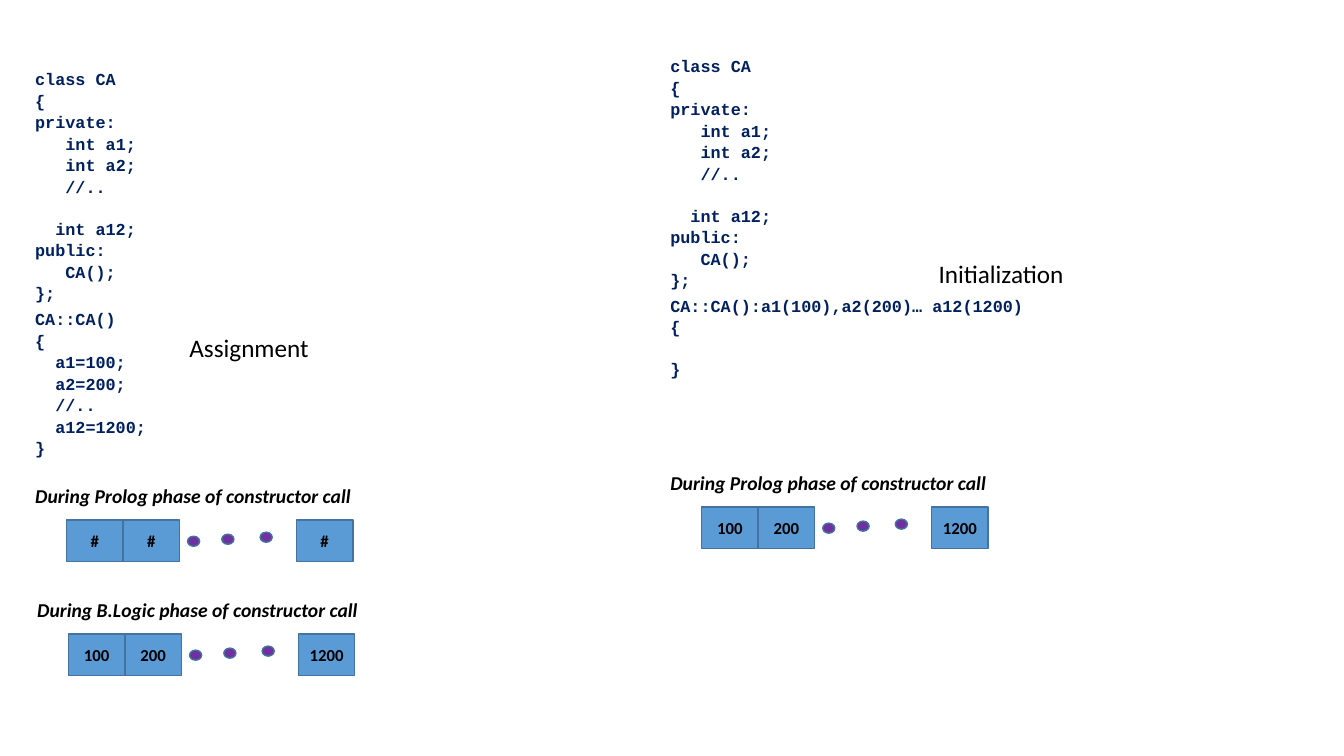
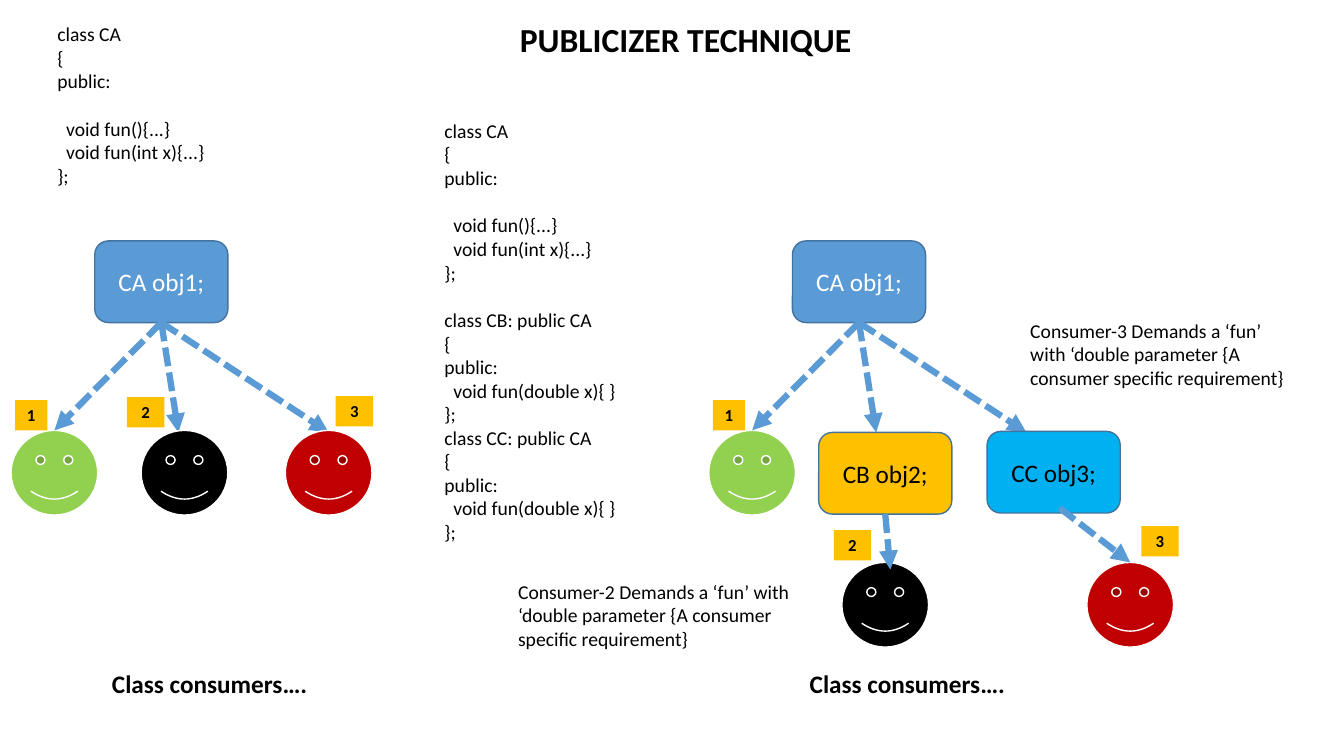
import pptx
import pptx.util
import pptx.dml.color
import pptx.enum.dml
import pptx.enum.shapes
import pptx.enum.text
import pptx.oxml.ns
import lxml.etree

Inches = pptx.util.Inches
Pt = pptx.util.Pt
RGBColor = pptx.dml.color.RGBColor
SHAPE = pptx.enum.shapes.MSO_SHAPE
ALIGN = pptx.enum.text.PP_ALIGN

# Shared colours and fonts
BLACK = RGBColor(0x00, 0x00, 0x00)
WHITE = RGBColor(0xFF, 0xFF, 0xFF)
NAVY = RGBColor(0x00, 0x20, 0x60)
BLUE = RGBColor(0x5B, 0x9B, 0xD5)
EDGE = RGBColor(0x43, 0x73, 0x9E)
PURPLE = RGBColor(0x70, 0x30, 0xA0)
GREEN = RGBColor(0x92, 0xD0, 0x50)
RED = RGBColor(0xC0, 0x00, 0x00)
AMBER = RGBColor(0xFF, 0xC0, 0x00)
SKY = RGBColor(0x00, 0xB0, 0xF0)
SANS = "Calibri"
MONO = "Courier New"

# Code listings: leading spaces become indents, empty lines become spacing
CLASS_MEMBERS = """class CA
{
private:
   int a1;
   int a2;
   //..

  int a12;
public:
   CA();
};"""

ASSIGNING_CTOR = """CA::CA()
{
  a1=100;
  a2=200;
  //..
  a12=1200;
}"""

INITIALIZING_CTOR = """CA::CA():a1(100),a2(200)… a12(1200)
{

}"""

BASE_CLASS = """class CA
{
public:

  void fun(){...}
  void fun(int x){...}
};"""


def derived_class(name):
    return f"class {name}: public CA\n{{\npublic:\n  void fun(double x){{ }}\n}};"


def demand(number):
    return (f"Consumer-{number} Demands a ‘fun’ with ‘double parameter "
            "{A consumer specific requirement}")


def style(p, size, color=BLACK, bold=False, italic=False, font=SANS):
    f = p.font
    f.name, f.size, f.bold, f.italic = font, Pt(size), bold, italic
    f.color.rgb = color


def add_box(shapes, x, y, w, h):
    tf = shapes.add_textbox(Inches(x), Inches(y), Inches(w), Inches(h)).text_frame
    tf.word_wrap = True
    tf.auto_size = pptx.enum.text.MSO_AUTO_SIZE.SHAPE_TO_FIT_TEXT
    return tf


def add_label(shapes, text, x, y, w, h, size, align=ALIGN.LEFT, **look):
    p = add_box(shapes, x, y, w, h).paragraphs[0]
    p.text, p.alignment = text, align
    style(p, size, **look)


def add_code(shapes, code, x, y, w, h, size, space, line, spacing=1.0, **look):
    """space is the width of one space in inches, line a line height in points."""
    tf = add_box(shapes, x, y, w, h)
    p, gap = tf.paragraphs[0], 0
    for i, row in enumerate(code.split("\n")):
        if not row:
            gap += line
            continue
        if i:
            p = tf.add_paragraph()
        p.text = row.lstrip()
        p.line_spacing = spacing
        p.space_before = Pt(gap)
        indent = Inches(space * (len(row) - len(p.text)))
        p._p.get_or_add_pPr().set("marL", str(indent))
        style(p, size, **look)
        gap = 0


def add_mono(shapes, code, x, y, w, h):
    add_code(shapes, code, x, y, w, h, 12, 0.1, 14.5, 1.07,
             color=NAVY, bold=True, font=MONO)


def add_sans(shapes, code, x, y, w, h):
    add_code(shapes, code, x, y, w, h, 14, 0.044, 17.1)


def add_shape(shapes, kind, x, y, w, h, fill, edge=EDGE, text="", size=12,
              color=BLACK, bold=False):
    sp = shapes.add_shape(kind, Inches(x), Inches(y), Inches(w), Inches(h))
    sp.shadow.inherit = False
    sp.fill.solid()
    sp.fill.fore_color.rgb = fill
    if edge is None:
        sp.line.fill.background()
    else:
        sp.line.color.rgb = edge
        sp.line.width = Pt(1)
    if text:
        p = sp.text_frame.paragraphs[0]
        p.text, p.alignment = text, ALIGN.CENTER
        style(p, size, color, bold)


def add_memory_row(slide, title, values, x, y):
    """Phase title over the first, second and last member of the object."""
    shapes = slide.shapes.add_group_shape().shapes
    for text, dx in zip(values, (0.41, 0.97, 2.69)):
        add_shape(shapes, SHAPE.RECTANGLE, x + dx, y + 0.41, 0.56, 0.41, BLUE,
                  text=text, bold=True)
    for dx, dy in ((1.61, 0.57), (1.95, 0.55), (2.33, 0.53)):
        add_shape(shapes, SHAPE.OVAL, x + dx, y + dy, 0.12, 0.1, PURPLE)
    add_label(shapes, title, x, y, 3.85, 0.34, 14, bold=True, italic=True)


def add_object(shapes, text, x, y, fill, color=BLACK):
    add_shape(shapes, SHAPE.ROUNDED_RECTANGLE, x, y, 1.32, 0.81, fill,
              text=text, size=18, color=color)


def add_face(shapes, x, y, fill):
    add_shape(shapes, SHAPE.SMILEY_FACE, x, y, 0.86, 0.84, fill, WHITE)


def add_badge(shapes, number, x, y, w=0.37):
    add_shape(shapes, SHAPE.RECTANGLE, x, y, w, 0.3, AMBER, None,
              text=str(number), bold=True)


def add_arrow(shapes, x1, y1, x2, y2):
    cn = shapes.add_connector(pptx.enum.shapes.MSO_CONNECTOR.STRAIGHT,
                              Inches(x1), Inches(y1), Inches(x2), Inches(y2))
    cn.line.color.rgb = BLUE
    cn.line.width = Pt(4.5)
    cn.line.dash_style = pptx.enum.dml.MSO_LINE.SQUARE_DOT
    qn = pptx.oxml.ns.qn
    spPr = cn._element.spPr
    lxml.etree.SubElement(spPr.find(qn("a:ln")), qn("a:tailEnd"), type="triangle")
    lxml.etree.SubElement(spPr, qn("a:effectLst"))


def add_consumer_tree(shapes, x):
    """Object, its three arrows, the first consumer and the caption."""
    add_object(shapes, "CA obj1;", x + 0.94, 2.39, BLUE, WHITE)
    add_face(shapes, x + 0.11, 4.27, GREEN)
    add_label(shapes, "Class consumers….", x + 0.9, 6.58, 2.36, 0.4, 18,
              ALIGN.CENTER, bold=True)
    for end_x, end_y in ((0.54, 4.27), (1.77, 4.29), (3.26, 4.29)):
        add_arrow(shapes, x + 1.6, 3.2, x + end_x, end_y)
    add_badge(shapes, 1, x + 0.15, 3.97, 0.32)


def build_constructor_slide(slide):
    shapes = slide.shapes
    prolog = "During Prolog phase of constructor call"
    logic = "During B.Logic phase of constructor call"
    filled = ("100", "200", "1200")

    # Assignment inside the body
    add_mono(shapes, CLASS_MEMBERS, 0.25, 0.62, 3.15, 2.52)
    add_mono(shapes, ASSIGNING_CTOR, 0.25, 3, 3.15, 1.51)
    add_memory_row(slide, prolog, "###", 0.25, 4.75)
    add_memory_row(slide, logic, filled, 0.27, 5.88)

    # Initialization list
    add_mono(shapes, CLASS_MEMBERS, 6.55, 0.49, 3.15, 2.52)
    add_mono(shapes, INITIALIZING_CTOR, 6.55, 2.87, 5.35, 0.91)
    add_memory_row(slide, prolog, filled, 6.55, 4.62)

    add_label(shapes, "Initialization", 9.21, 2.51, 4.08, 0.4, 18)
    add_label(shapes, "Assignment", 1.78, 3.25, 4.08, 0.4, 18)


def build_publicizer_slide(slide):
    shapes = slide.shapes

    # One class serving every consumer
    add_sans(shapes, BASE_CLASS, 0.47, 0.17, 2.46, 1.75)
    add_consumer_tree(shapes, 0)
    add_face(shapes, 1.4, 4.27, BLACK)
    add_face(shapes, 2.83, 4.27, RED)
    add_badge(shapes, 2, 1.26, 3.94)
    add_badge(shapes, 3, 3.33, 3.93)

    # Derived classes for consumers 2 and 3
    add_label(shapes, demand(2), 5.04, 5.7, 3.14, 0.81, 14)
    add_consumer_tree(shapes, 6.92)
    add_face(shapes, 8.35, 5.58, BLACK)
    add_face(shapes, 10.78, 5.58, RED)
    add_badge(shapes, 2, 8.27, 5.26)
    add_badge(shapes, 3, 11.32, 5.22)
    code = "\n".join((BASE_CLASS, "", derived_class("CB"), derived_class("CC")))
    add_sans(shapes, code, 4.31, 1.13, 2.46, 4.81)
    add_label(shapes, demand(3), 10.12, 3.11, 2.76, 0.81, 14)
    add_object(shapes, "CB obj2;", 8.12, 4.29, AMBER)
    add_arrow(shapes, 8.78, 5.1, 8.83, 5.65)
    add_object(shapes, "CC obj3;", 9.79, 4.28, SKY)
    add_arrow(shapes, 10.51, 5.04, 11.21, 5.58)

    add_label(shapes, "PUBLICIZER TECHNIQUE", 4.74, 0.14, 4.12, 0.5, 24,
              ALIGN.CENTER, bold=True)


def main():
    prs = pptx.Presentation()
    prs.slide_width, prs.slide_height = Inches(13.33), Inches(7.5)
    for build in (build_constructor_slide, build_publicizer_slide):
        build(prs.slides.add_slide(prs.slide_layouts[6]))
    prs.save("out.pptx")


main()
